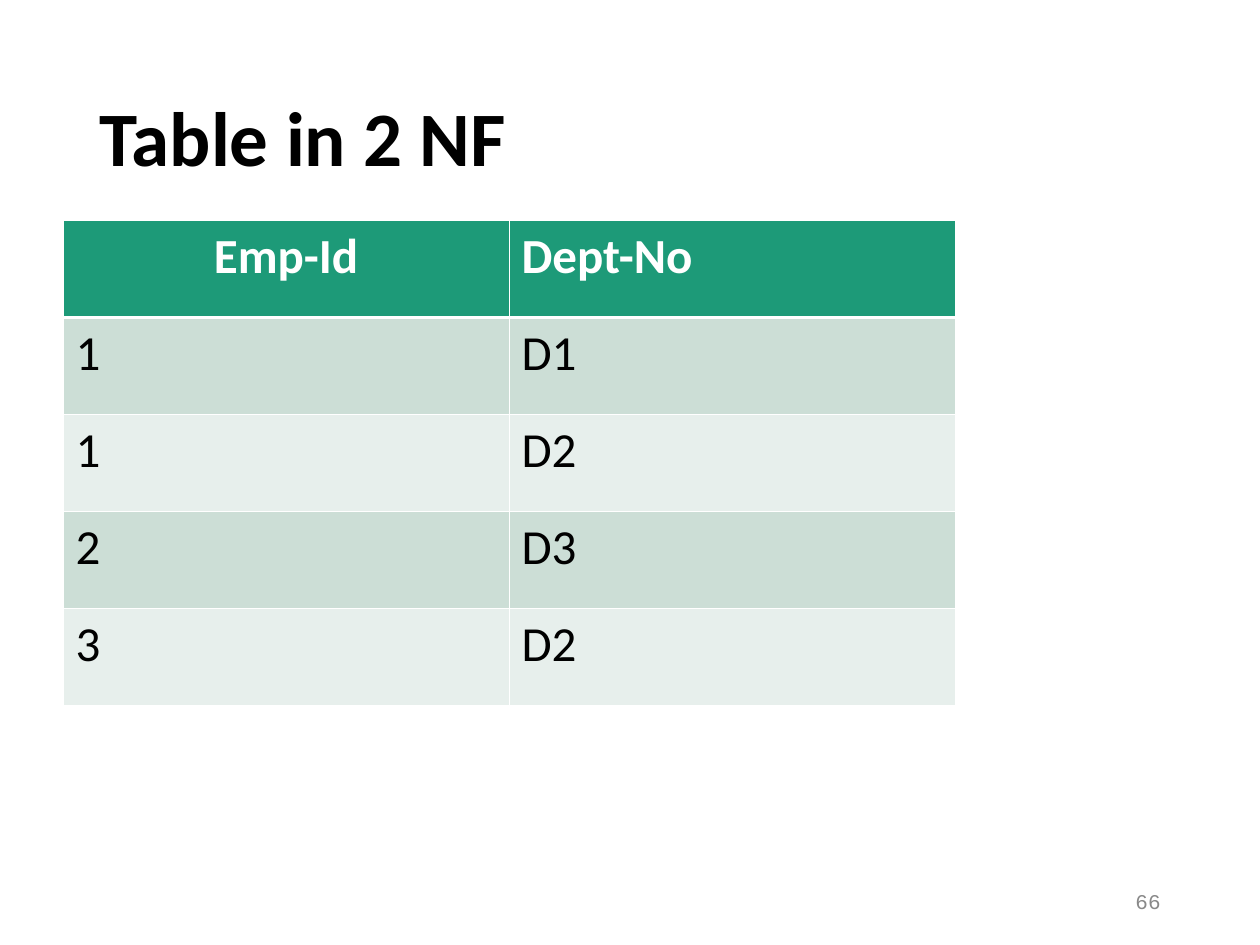
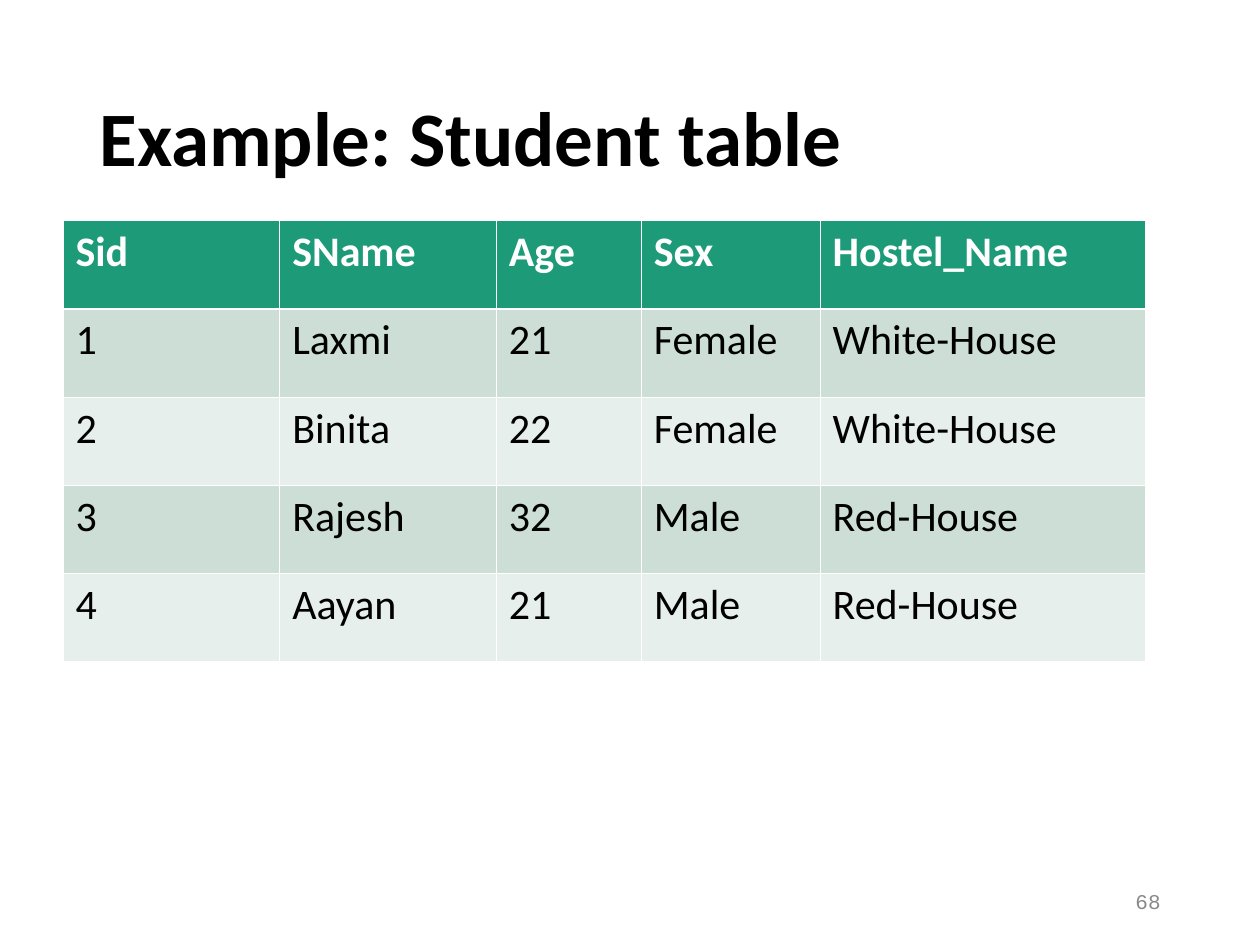
from lxml.etree import SubElement
from pptx import Presentation
from pptx.dml.color import RGBColor
from pptx.enum.text import MSO_ANCHOR, PP_ALIGN
from pptx.oxml.ns import qn
from pptx.util import Inches, Pt

# Content
SLIDES = [
    {
        "title": "Table in 2 NF",
        "number": "66",
        "size": 28,
        "row_height": 0.77,
        "widths": [3.54, 3.54],
        "header_aligns": [PP_ALIGN.CENTER, PP_ALIGN.LEFT],
        "rows": [
            ("Emp-Id", "Dept-No"),
            ("1", "D1"),
            ("1", "D2"),
            ("2", "D3"),
            ("3", "D2"),
        ],
    },
    {
        "title": "Example: Student table",
        "number": "68",
        "size": 24,
        "row_height": 0.7,
        "widths": [1.72, 1.72, 1.15, 1.42, 2.58],
        "header_aligns": [PP_ALIGN.LEFT] * 5,
        "rows": [
            ("Sid", "SName", "Age", "Sex", "Hostel_Name"),
            ("1", "Laxmi", "21", "Female", "White-House"),
            ("2", "Binita", "22", "Female", "White-House"),
            ("3", "Rajesh", "32", "Male", "Red-House"),
            ("4", "Aayan", "21", "Male", "Red-House"),
        ],
    },
]

# Shared look
BLACK, WHITE, GREY = "000000", "FFFFFF", "898989"
HEADER_FILL = "1D9A78"
BAND_FILLS = ["E7EFEC", "CCDED6"]
THIN, THICK = 0.45, 1.47
TITLE_BOX = (0.69, 0.4, 8.63, 1.45)
NUMBER_BOX = (7.06, 6.95, 2.25, 0.4)
TABLE_LEFT, TABLE_TOP = 0.5, 1.75


def color(value):
    return RGBColor.from_string(value)


def write(frame, text, size, font="Calibri", fill=BLACK, bold=False,
          align=PP_ALIGN.LEFT, line_spacing=1.0):
    para = frame.paragraphs[0]
    para.alignment = align
    para.line_spacing = line_spacing
    span = para.add_run()
    span.text = text
    span.font.name = font
    span.font.size = Pt(size)
    span.font.bold = bold
    span.font.color.rgb = color(fill)


def add_borders(cell, top, bottom):
    properties = cell._tc.get_or_add_tcPr()
    sides = {"a:lnL": THIN, "a:lnR": THIN, "a:lnT": top, "a:lnB": bottom}
    for side, width in sides.items():
        line = SubElement(properties, qn(side), w=str(Pt(width)))
        solid = SubElement(line, qn("a:solidFill"))
        SubElement(solid, qn("a:srgbClr"), val=WHITE)


def add_title(page, text):
    box = page.shapes.title
    box.left, box.top, box.width, box.height = map(Inches, TITLE_BOX)
    box.text_frame.word_wrap = True
    box.text_frame.vertical_anchor = MSO_ANCHOR.MIDDLE
    write(box.text_frame, text, 44, bold=True, line_spacing=0.9)


def add_banded_table(page, content):
    rows, widths = content["rows"], content["widths"]
    height = content["row_height"]
    table = page.shapes.add_table(
        len(rows), len(widths), Inches(TABLE_LEFT), Inches(TABLE_TOP),
        Inches(sum(widths)), Inches(height * len(rows))).table
    table.horz_banding = False
    for column, width in zip(table.columns, widths):
        column.width = Inches(width)
    for r, values in enumerate(rows):
        table.rows[r].height = Inches(height)
        header = r == 0
        for c, value in enumerate(values):
            cell = table.cell(r, c)
            add_borders(cell, top=THICK if r == 1 else THIN,
                        bottom=THICK if header else THIN)
            cell.fill.solid()
            cell.fill.fore_color.rgb = color(
                HEADER_FILL if header else BAND_FILLS[r % 2])
            write(cell.text_frame, value, content["size"], bold=header,
                  fill=WHITE if header else BLACK,
                  align=content["header_aligns"][c] if header else PP_ALIGN.LEFT)


def add_page_number(page, number):
    frame = page.shapes.add_textbox(*map(Inches, NUMBER_BOX)).text_frame
    frame.word_wrap = True
    frame.vertical_anchor = MSO_ANCHOR.MIDDLE
    write(frame, number, 12, font="Courier New", fill=GREY,
          align=PP_ALIGN.RIGHT)


def main():
    deck = Presentation()
    deck.slide_width, deck.slide_height = Inches(10), Inches(7.5)
    title_only = deck.slide_layouts[5]
    for content in SLIDES:
        page = deck.slides.add_slide(title_only)
        add_title(page, content["title"])
        add_banded_table(page, content)
        add_page_number(page, content["number"])
    deck.save("out.pptx")


if __name__ == "__main__":
    main()
